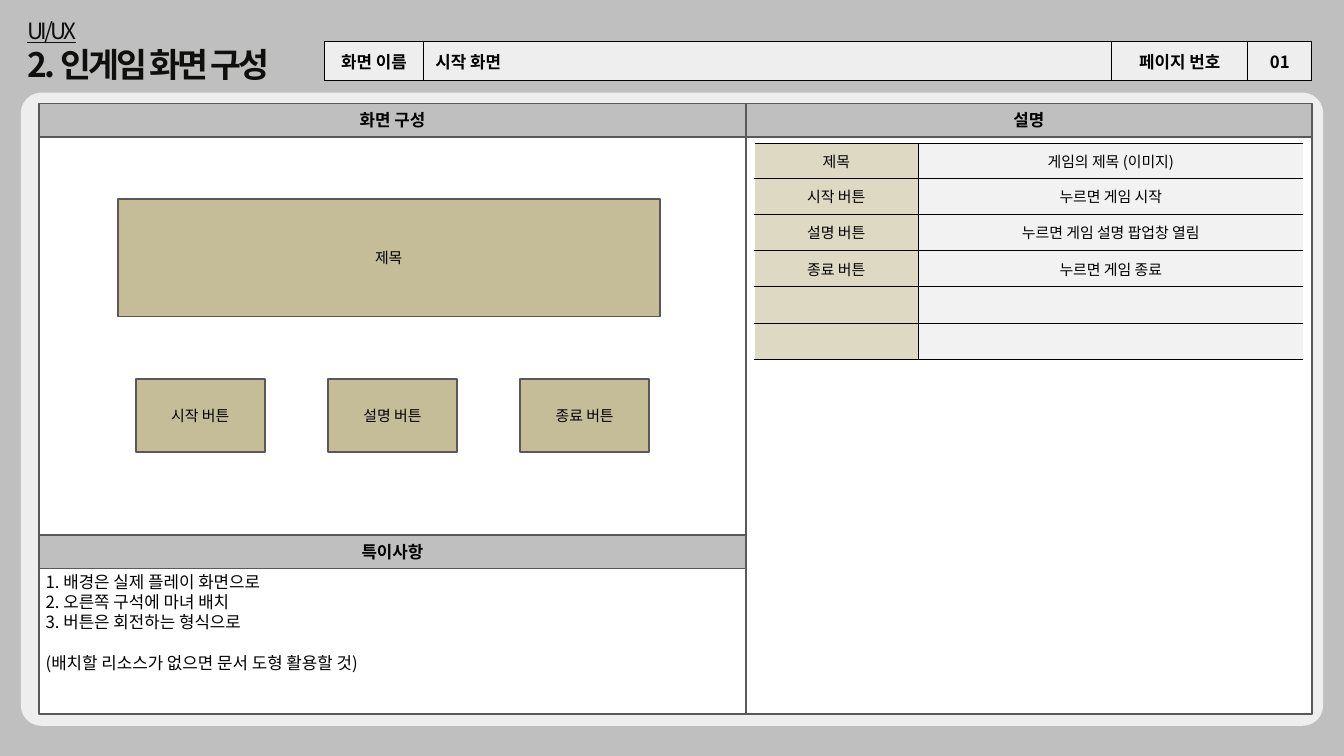
import pptx
import pptx.dml.color
import pptx.enum.shapes
import pptx.enum.text
import pptx.oxml.ns
import pptx.util
from lxml import etree

PX = 9144  # EMU per px, at 100 px to the inch
FONT = "Noto Sans CJK KR"
BLACK, WHITE, INK = "000000", "FFFFFF", "0F0F0E"
GRAY, DARK, LIGHT = "BFBFBF", "595959", "EEEEEE"
KHAKI, SAND, PALE = "C4BD97", "DDD9C3", "F2F2F2"
CENTER = pptx.enum.text.PP_ALIGN.CENTER
LEFT = pptx.enum.text.PP_ALIGN.LEFT
MIDDLE = pptx.enum.text.MSO_ANCHOR.MIDDLE
TOP = pptx.enum.text.MSO_ANCHOR.TOP
RECTANGLE = pptx.enum.shapes.MSO_SHAPE.RECTANGLE
ROUNDED = pptx.enum.shapes.MSO_SHAPE.ROUNDED_RECTANGLE


def px(*lengths):
    return [pptx.util.Emu(length * PX) for length in lengths]


def color(value):
    return pptx.dml.color.RGBColor.from_string(value)


def paint(fill, value):
    fill.solid()
    fill.fore_color.rgb = color(value)


def format_paragraph(paragraph, size, bold=False, align=CENTER, ink=BLACK):
    paragraph.alignment = align
    for run in paragraph.runs:
        run.font.size = pptx.util.Pt(size)
        run.font.bold = bold
        run.font.color.rgb = color(ink)
        run.font.name = FONT
        east_asian = etree.SubElement(run.font._element, pptx.oxml.ns.qn("a:ea"))
        east_asian.set("typeface", FONT)


def set_line_height(paragraph, size):
    paragraph.line_spacing = pptx.util.Pt(size * 1.2)


def add_box(slide, bounds, fill, line=DARK, kind=RECTANGLE):
    shape = slide.shapes.add_shape(kind, *px(*bounds))
    shape.shadow.inherit = False
    paint(shape.fill, fill)
    if line:
        shape.line.color.rgb = color(line)
        shape.line.width = pptx.util.Pt(2)
    else:
        shape.line.fill.background()
    return shape


def add_label(slide, bounds, text, fill, size, bold=False):
    shape = add_box(slide, bounds, fill)
    text_frame = shape.text_frame
    text_frame.text = text
    text_frame.word_wrap = True
    text_frame.vertical_anchor = MIDDLE
    format_paragraph(text_frame.paragraphs[0], size, bold)


def add_title(slide):
    box = slide.shapes.add_textbox(*px(31, 20, 627, 111))
    text_frame = box.text_frame
    text_frame.word_wrap = True
    text_frame.vertical_anchor = MIDDLE
    text_frame.text = "UI/UX\n2. 인게임 화면 구성"
    section, heading = text_frame.paragraphs
    for paragraph, size, bold in ((section, 24, False), (heading, 36, True)):
        format_paragraph(paragraph, size, bold, LEFT, INK)
        set_line_height(paragraph, size)
        paragraph.runs[0].font._element.set("spc", "-300")
    section.runs[0].font.underline = True


def add_notes(slide, bounds, lines, remark):
    text_frame = add_box(slide, bounds, WHITE).text_frame
    text_frame.word_wrap = True
    text_frame.vertical_anchor = TOP
    text_frame.text = "\n".join(lines + [remark])
    for paragraph in text_frame.paragraphs:
        format_paragraph(paragraph, 18, align=LEFT)
        set_line_height(paragraph, 18)
    text_frame.paragraphs[-1].space_before = pptx.util.Pt(21.6)


def set_borders(cell, left=BLACK, right=BLACK):
    properties = cell._tc.get_or_add_tcPr()
    sides = (("L", left), ("R", right), ("T", BLACK), ("B", BLACK))
    for position, (side, value) in enumerate(sides):
        line = etree.Element(pptx.oxml.ns.qn("a:ln" + side), w="12700")
        fill = etree.SubElement(line, pptx.oxml.ns.qn("a:solidFill"))
        etree.SubElement(fill, pptx.oxml.ns.qn("a:srgbClr"), val=value)
        properties.insert(position, line)


def add_grid(slide, left, top, widths, heights, rows, fills, size, bold=False):
    bounds = px(left, top, sum(widths), sum(heights))
    table = slide.shapes.add_table(len(heights), len(widths), *bounds).table
    table.first_row = table.horz_banding = False
    for column, width in zip(table.columns, px(*widths)):
        column.width = width
    for row, height, texts in zip(table.rows, px(*heights), rows):
        row.height = height
        for cell, text, fill in zip(row.cells, texts, fills):
            cell.text = text
            cell.vertical_anchor = MIDDLE
            paint(cell.fill, fill)
            format_paragraph(cell.text_frame.paragraphs[0], size, bold)
    return table


def add_page_header(slide):
    texts = ["화면 이름", "시작 화면", "페이지 번호", "01"]
    table = add_grid(slide, 483, 62, [147, 1024, 203, 95], [58], [texts],
                     [LIGHT] * 4, 18, True)
    for cell in table.iter_cells():
        set_borders(cell)
    name = table.cell(0, 1).text_frame.paragraphs[0]
    name.alignment = LEFT
    name._p.get_or_add_pPr().set("marL", str(8 * PX))


def add_descriptions(slide):
    rows = [
        ("제목", "게임의 제목 (이미지)"),
        ("시작 버튼", "누르면 게임 시작"),
        ("설명 버튼", "누르면 게임 설명 팝업창 열림"),
        ("종료 버튼", "누르면 게임 종료"),
        ("", ""),
        ("", ""),
    ]
    table = add_grid(slide, 1122, 213, [245, 572], [52] + [54] * 5, rows,
                     [SAND, PALE], 16)
    for row in table.rows:
        set_borders(row.cells[0], left=WHITE)
        set_borders(row.cells[1], right=WHITE)


def main():
    presentation = pptx.Presentation()
    presentation.slide_width, presentation.slide_height = px(2000, 1125)
    slide = presentation.slides.add_slide(presentation.slide_layouts[6])
    paint(slide.background.fill, GRAY)

    # Title and backing panel
    add_title(slide)
    panel = add_box(slide, (31, 138, 1938, 942), LIGHT, None, ROUNDED)
    panel.adjustments[0] = 0.032

    # Framed sections
    add_box(slide, (58, 204, 1052, 592), WHITE)
    add_label(slide, (58, 154, 1052, 50), "화면 구성", GRAY, 18, True)
    add_notes(slide, (58, 846, 1052, 217),
              ["1. 배경은 실제 플레이 화면으로",
               "2. 오른쪽 구석에 마녀 배치",
               "3. 버튼은 회전하는 형식으로"],
              "(배치할 리소스가 없으면 문서 도형 활용할 것)")
    add_label(slide, (58, 796, 1052, 50), "특이사항", GRAY, 18, True)
    add_label(slide, (1110, 154, 842, 50), "설명", GRAY, 18, True)
    add_box(slide, (1110, 204, 842, 858), WHITE)

    add_page_header(slide)

    # Screen mock-up
    add_label(slide, (175, 296, 807, 175), "제목", KHAKI, 16)
    for index, text in enumerate(("시작 버튼", "설명 버튼", "종료 버튼")):
        add_label(slide, (202 + 286 * index, 564, 192, 109), text, KHAKI, 16)

    add_descriptions(slide)
    presentation.save("out.pptx")


if __name__ == "__main__":
    main()
